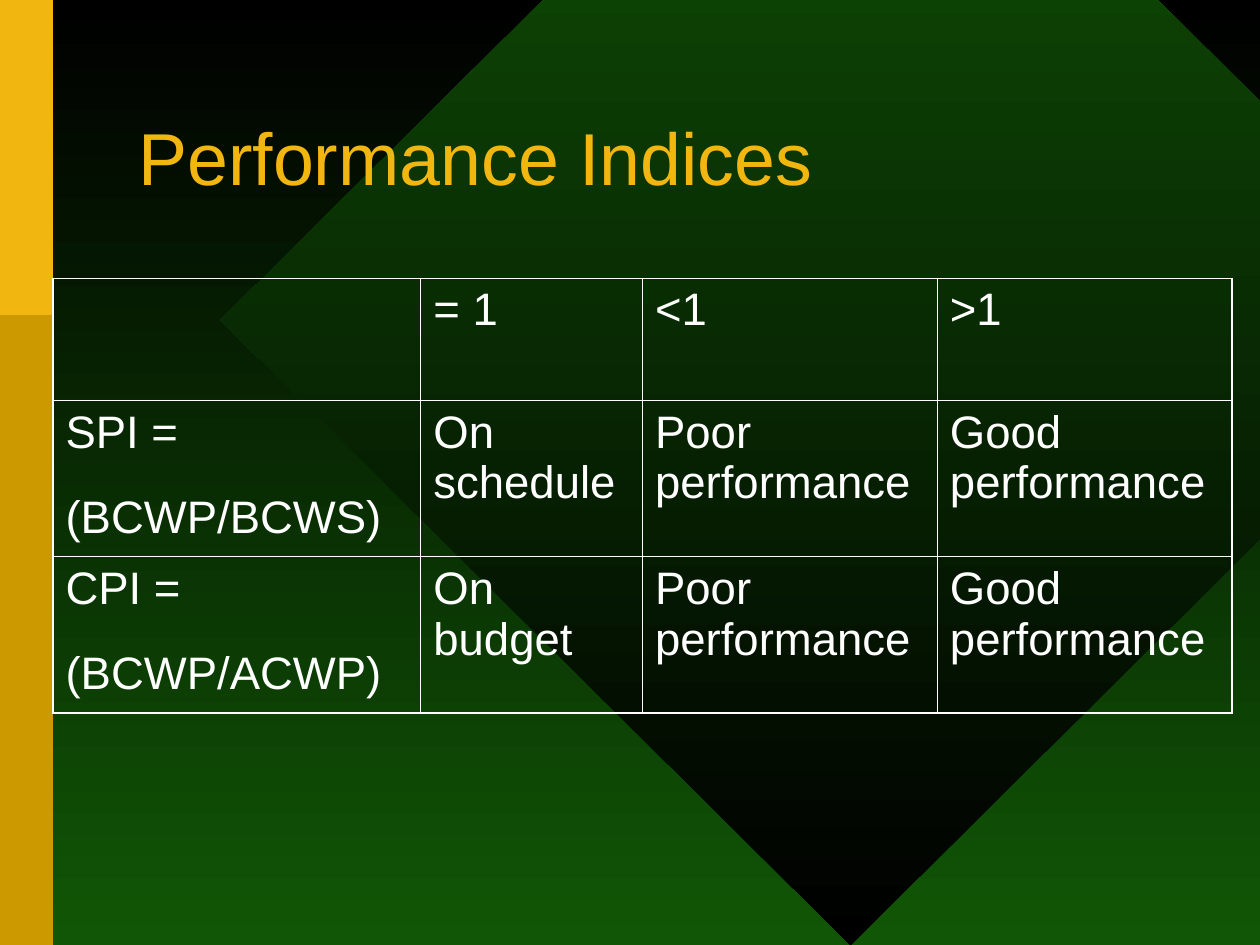
from lxml import etree
from pptx import Presentation
from pptx import util as u
from pptx.dml.color import RGBColor
from pptx.enum import shapes, text
from pptx.oxml.ns import qn

GOLD, DARK_GOLD, GREEN, BLACK, WHITE = "F1B60F", "CC9900", "115606", "000000", "FFFFFF"


def color(hex_code):
    return RGBColor.from_string(hex_code)


def fill_downward(fill, top, bottom):
    """Apply a two-colour gradient running from top to bottom."""
    fill.gradient()
    fill.gradient_angle = 270
    for stop, shade in zip(fill.gradient_stops, (top, bottom)):
        stop.color.rgb = color(shade)


deck = Presentation()
deck.slide_width, deck.slide_height = u.Inches(10), u.Inches(7.5)
page = deck.slides.add_slide(deck.slide_layouts[6])
fill_downward(page.background.fill, BLACK, GREEN)

# Backdrop diamond and side bars
backdrop = [
    (shapes.MSO_SHAPE.DIAMOND, (1.75, -2.42, 10, 9.92), None),
    (shapes.MSO_SHAPE.RECTANGLE, (0, 0, 0.42, 7.5), DARK_GOLD),
    (shapes.MSO_SHAPE.RECTANGLE, (0, 0, 0.42, 2.5), GOLD),
]
for kind, place, shade in backdrop:
    shape = page.shapes.add_shape(kind, *map(u.Inches, place))
    shape.shadow.inherit = False
    shape.line.fill.background()
    if shade:
        shape.fill.solid()
        shape.fill.fore_color.rgb = color(shade)
    else:
        fill_downward(shape.fill, GREEN, BLACK)

# Title
box = page.shapes.add_textbox(*map(u.Inches, (1, 0.67, 8.25, 1.25)))
frame = box.text_frame
frame.word_wrap = True
frame.vertical_anchor = text.MSO_ANCHOR.MIDDLE
para = frame.paragraphs[0]
para.text = "Performance Indices"
para.line_spacing = 0.85
for name, value in {"name": "Arial", "size": u.Pt(42)}.items():
    setattr(para.runs[0].font, name, value)
para.runs[0].font.color.rgb = color(GOLD)

# Table of indices
rows = [
    ["", "= 1", "<1", ">1"],
    ["SPI =\n(BCWP/BCWS)", "On schedule", "Poor performance", "Good performance"],
    ["CPI =\n(BCWP/ACWP)", "On budget", "Poor performance", "Good performance"],
]
widths, heights = [2.92, 1.76, 2.34, 2.34], [0.97, 1.24, 1.24]
table = page.shapes.add_table(
    len(rows), len(widths), *map(u.Inches, (0.42, 2.21, sum(widths), sum(heights)))
).table
table.first_row = table.horz_banding = False
for column, width in zip(table.columns, widths):
    column.width = u.Inches(width)
for row, height in zip(table.rows, heights):
    row.height = u.Inches(height)

cell_font = {"name": "Arial", "size": u.Pt(26)}
for r, row in enumerate(rows):
    for c, words in enumerate(row):
        cell = table.cell(r, c)
        cell.fill.background()
        cell.text = words
        for para in cell.text_frame.paragraphs:
            para.space_before = u.Pt(19.5)
            for name, value in cell_font.items():
                setattr(para.font, name, value)
            for span in para.runs:
                for name, value in cell_font.items():
                    setattr(span.font, name, value)
                span.font.color.rgb = color(WHITE)

        # Outer edges are heavier than inner rules
        outer = {
            "lnL": c == 0,
            "lnR": c == len(widths) - 1,
            "lnT": r == 0,
            "lnB": r == len(rows) - 1,
        }
        properties = cell._tc.get_or_add_tcPr()
        for position, (edge, heavy) in enumerate(outer.items()):
            line = etree.Element(qn(f"a:{edge}"), w=str(u.Pt(1.08 if heavy else 0.45)))
            solid = etree.SubElement(line, qn("a:solidFill"))
            etree.SubElement(solid, qn("a:srgbClr"), val=WHITE)
            properties.insert(position, line)

deck.save("out.pptx")
